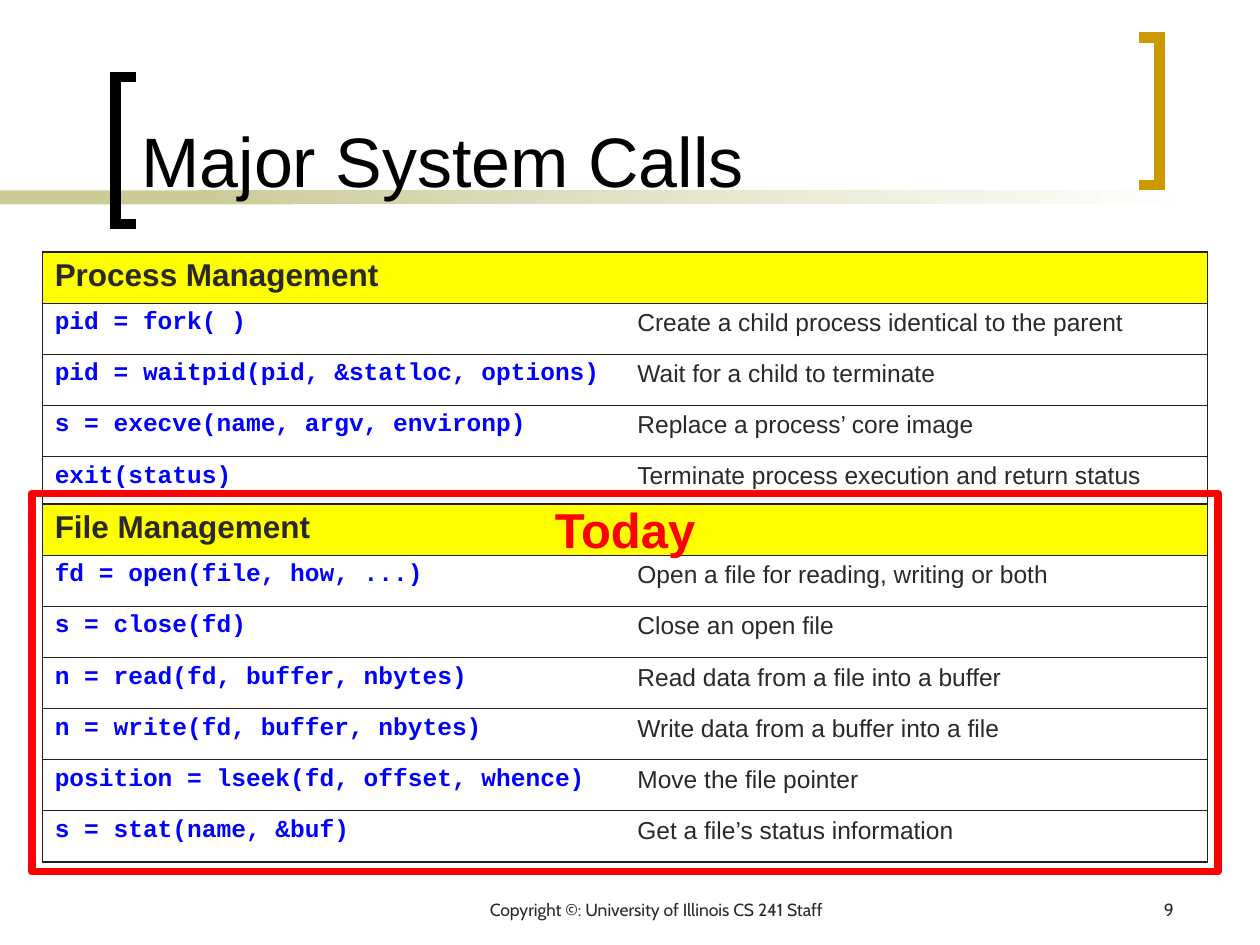
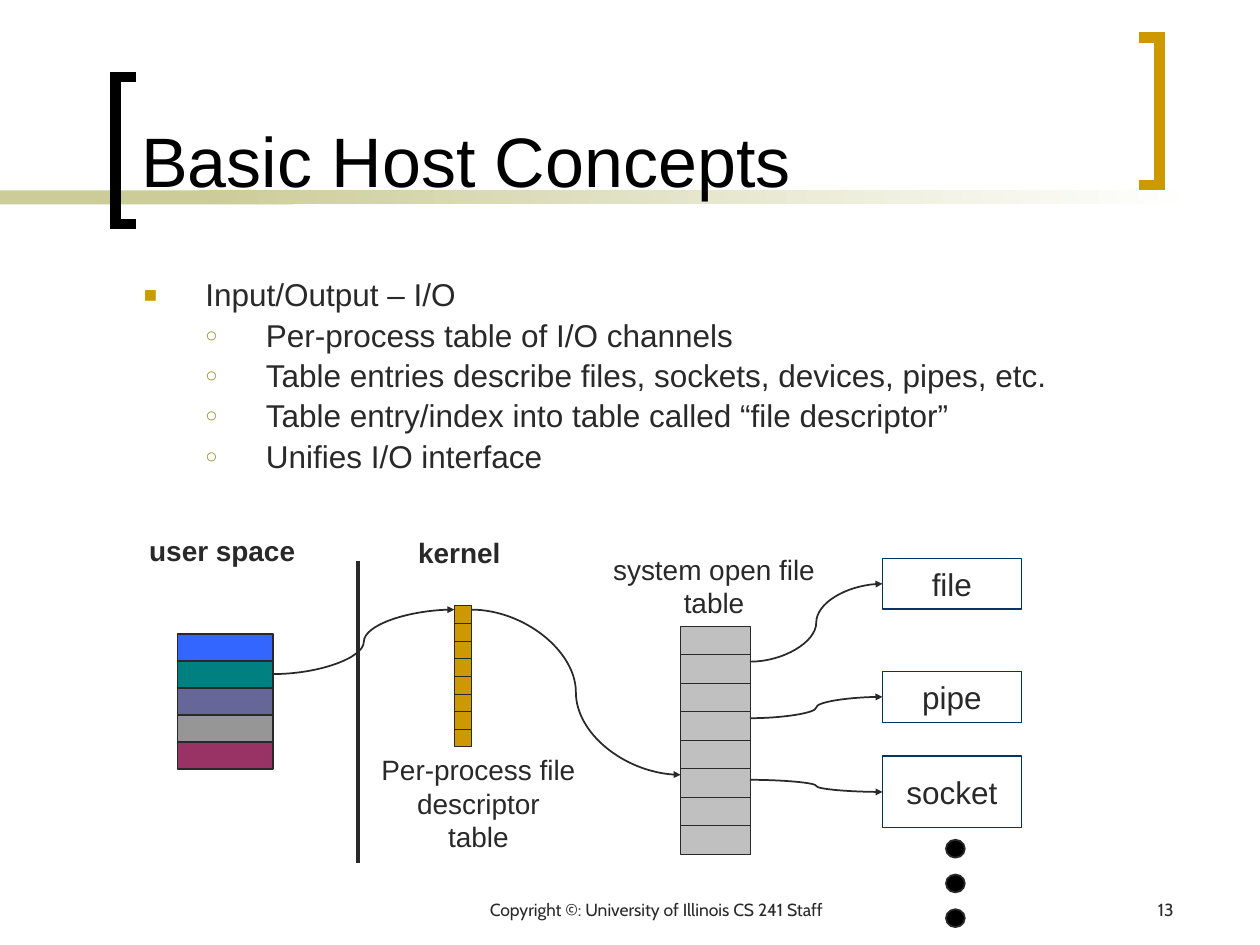
from dataclasses import dataclass

from lxml.etree import SubElement
from pptx import Presentation
from pptx.dml.color import RGBColor
from pptx.enum.shapes import MSO_CONNECTOR as LINK, MSO_SHAPE as SHAPE
from pptx.enum.text import MSO_ANCHOR as ANCHOR, PP_ALIGN as ALIGN
from pptx.oxml.ns import qn
from pptx.util import Cm, Pt

BLACK = RGBColor(0x00, 0x00, 0x00)
WHITE = RGBColor(0xFF, 0xFF, 0xFF)
INK = RGBColor(0x29, 0x29, 0x29)
BORDER = RGBColor(0x20, 0x20, 0x20)
GOLD = RGBColor(0xCC, 0x99, 0x00)
SAND = RGBColor(0xCC, 0xCC, 0x99)
OLIVE = RGBColor(0x99, 0x99, 0x33)
YELLOW = RGBColor(0xFF, 0xFF, 0x00)
RED = RGBColor(0xFF, 0x00, 0x00)
CODE_BLUE = RGBColor(0x00, 0x00, 0xFF)
NAVY = RGBColor(0x00, 0x33, 0x66)
SILVER = RGBColor(0xC0, 0xC0, 0xC0)
USER_COLOURS = [RGBColor(0x33, 0x66, 0xFF), RGBColor(0x00, 0x80, 0x80),
                RGBColor(0x66, 0x66, 0x99), RGBColor(0x96, 0x96, 0x96),
                RGBColor(0x99, 0x33, 0x66)]

TITLE = {"name": "Arial", "size": Pt(40)}
HEADING = {"name": "Arial", "size": Pt(18), "bold": True}
BODY = {"name": "Arial", "size": Pt(18)}
CODE = {"name": "Courier New", "size": Pt(14), "bold": True}
MEANING = {"name": "Arial", "size": Pt(14), "bold": False}
LABEL = {"name": "Arial", "size": Pt(16)}
LABEL_BOLD = {**LABEL, "bold": True}
CALLOUT = {"name": "Arial", "size": Pt(28), "bold": True}
FOOTER = {"name": "Cabin", "size": Pt(10)}

PROCESS_CALLS = [
    ("pid = fork( )", "Create a child process identical to the parent"),
    ("pid = waitpid(pid, &statloc, options)", "Wait for a child to terminate"),
    ("s = execve(name, argv, environp)", "Replace a process’ core image"),
    ("exit(status)", "Terminate process execution and return status"),
]
FILE_CALLS = [
    ("fd = open(file, how, ...)", "Open a file for reading, writing or both"),
    ("s = close(fd)", "Close an open file"),
    ("n = read(fd, buffer, nbytes)", "Read data from a file into a buffer"),
    ("n = write(fd, buffer, nbytes)", "Write data from a buffer into a file"),
    ("position = lseek(fd, offset, whence)", "Move the file pointer"),
    ("s = stat(name, &buf)", "Get a file’s status information"),
]
IO_POINTS = [
    (0, "Input/Output – I/O"),
    (1, "Per-process table of I/O channels"),
    (1, "Table entries describe files, sockets, devices, pipes, etc."),
    (1, "Table entry/index into table called “file descriptor”"),
    (1, "Unifies I/O interface"),
]
BULLETS = [("■", GOLD, 70, 1.24, 1.24), ("○", OLIVE, 65, 2.46, 1.22)]


@dataclass
class Box:
    """A rectangle measured in centimetres."""
    left: float
    top: float
    width: float
    height: float

    def inside(self, left, top, width, height):
        """Return a box whose place is given relative to this one."""
        return Box(self.left + left, self.top + top, width, height)

    def point(self, x, y):
        """Return a point relative to this box as lengths."""
        return Cm(self.left + x), Cm(self.top + y)

    def lengths(self):
        """Return left, top, width and height as lengths."""
        return [Cm(side) for side in (self.left, self.top, self.width, self.height)]


PAGE = Box(0, 0, 25.4, 19.05)


def apply(target, values):
    """Set every attribute named in values."""
    for name, value in values.items():
        setattr(target, name, value)


def write(frame, text, style, colour=INK, align=ALIGN.LEFT):
    """Write one paragraph for each line of text."""
    for index, line in enumerate(text.split("\n")):
        para = frame.add_paragraph() if index else frame.paragraphs[0]
        para.alignment = align
        span = para.add_run()
        span.text = line
        apply(span.font, style)
        span.font.color.rgb = colour


def add_text(page, box, text, style, colour=INK, align=ALIGN.LEFT,
             anchor=ANCHOR.TOP, wrap=True):
    """Add a text box."""
    frame = page.shapes.add_textbox(*box.lengths()).text_frame
    apply(frame, {"word_wrap": wrap, "vertical_anchor": anchor})
    write(frame, text, style, colour, align)


def paint(shape, fill=None, line=None, weight=1):
    """Set fill and line, where None means neither is drawn."""
    shape.shadow.inherit = False
    for part, colour in ((shape.fill, fill), (shape.line.fill, line)):
        if colour is None:
            part.background()
        else:
            part.solid()
            part.fore_color.rgb = colour
    if line is not None:
        shape.line.width = Pt(weight)


def add_box(shapes, kind, box, fill=None, line=None, weight=1):
    """Add a painted preset shape."""
    shape = shapes.add_shape(kind, *box.lengths())
    paint(shape, fill, line, weight)
    return shape


def add_bracket(page, box, colour, opens_right):
    """Draw a square bracket along the sides of a box."""
    spine, tips = (0, box.width) if opens_right else (box.width, 0)
    start, *rest = [box.point(x, y) for x, y in
                    ((tips, 0), (spine, 0), (spine, box.height), (tips, box.height))]
    builder = page.shapes.build_freeform(*start)
    builder.add_line_segments(rest, close=False)
    bracket = builder.convert_to_shape()
    paint(bracket, line=colour, weight=6)
    SubElement(bracket.element.spPr.find(qn("a:ln")), qn("a:miter"), lim="800000")


def add_frame(page, box, title, number):
    """Draw the band, brackets, title and footer every slide shares."""
    add_box(page.shapes, SHAPE.RECTANGLE, box.inside(0, 3.84, 5.92, 0.28), SAND)
    fade = add_box(page.shapes, SHAPE.RECTANGLE, box.inside(4.01, 3.84, 20.12, 0.28))
    fade.fill.gradient()
    fade.fill.gradient_angle = 0
    for stop, colour in zip(fade.fill.gradient_stops, (SAND, WHITE)):
        stop.color.rgb = colour
    add_bracket(page, box.inside(2.33, 1.55, 0.42, 2.97), BLACK, True)
    add_bracket(page, box.inside(22.96, 0.76, 0.42, 2.97), GOLD, False)
    add_text(page, box.inside(2.6, 0.25, 19.89, 3.94), title, TITLE, BLACK,
             anchor=ANCHOR.BOTTOM)
    add_text(page, box.inside(7.83, 17.99, 10.8, 0.64),
             "Copyright ©: University of Illinois CS 241 Staff", FOOTER,
             align=ALIGN.CENTER)
    add_text(page, box.inside(18.63, 17.99, 5.28, 0.64), str(number), FOOTER,
             align=ALIGN.RIGHT)


def add_border(cell, side, shown):
    """Draw or hide one border of a cell."""
    line = SubElement(cell._tc.get_or_add_tcPr(), qn(f"a:ln{side}"), w=str(Pt(0.75)))
    if shown:
        SubElement(SubElement(line, qn("a:solidFill")), qn("a:srgbClr"), val=str(BORDER))
    else:
        SubElement(line, qn("a:noFill"))


def add_calls(page, box, heading, calls):
    """Add a table of system calls under a yellow heading row."""
    rows = [(heading, ""), *calls]
    table = page.shapes.add_table(len(rows), 2, *box.lengths()).table
    apply(table, {"first_row": False, "horz_banding": False})
    for row, texts in enumerate(rows):
        table.rows[row].height = Cm(box.height / len(rows))
        styles = ((CODE, CODE_BLUE), (MEANING, INK)) if row else ((HEADING, INK),) * 2
        for column, (text, (style, colour)) in enumerate(zip(texts, styles)):
            cell = table.cell(row, column)
            for side, shown in (("L", column == 0), ("R", column == 1),
                                ("T", True), ("B", True)):
                add_border(cell, side, shown)
            if row:
                cell.fill.background()
            else:
                cell.fill.solid()
                cell.fill.fore_color.rgb = YELLOW
            if text:
                write(cell.text_frame, text, style, colour)


def add_bullets(page, box, points):
    """Add a two-level bulleted list."""
    frame = page.shapes.add_textbox(*box.lengths()).text_frame
    frame.word_wrap = True
    write(frame, "\n".join(text for _, text in points), BODY)
    for para, (level, _) in zip(frame.paragraphs, points):
        symbol, colour, size, margin, hang = BULLETS[level]
        apply(para, {"level": level, "line_spacing": 0.9, "space_before": Pt(3.6)})
        props = para._p.get_or_add_pPr()
        props.set("marL", str(Cm(margin)))
        props.set("indent", str(-Cm(hang)))
        SubElement(SubElement(props, qn("a:buClr")), qn("a:srgbClr"), val=str(colour))
        SubElement(props, qn("a:buSzPct"), val=str(size * 1000))
        SubElement(props, qn("a:buFont"), typeface="Arial")
        SubElement(props, qn("a:buChar"), char=symbol)


def add_stack(page, box, colours, weight):
    """Fill a box with a group of equal cells, one for each colour."""
    group = page.shapes.add_group_shape()
    height = box.height / len(colours)
    for index, colour in enumerate(colours):
        cell = box.inside(0, index * height, box.width, height)
        add_box(group.shapes, SHAPE.FLOWCHART_PROCESS, cell, colour, INK, weight)


def add_line(page, kind, start, end, weight=1, arrow=True):
    """Add a connector, with a small arrowhead at its end if wanted."""
    link = page.shapes.add_connector(kind, *start, *end)
    link.line.color.rgb = INK
    link.line.width = Pt(weight)
    props = link._element.spPr
    if arrow:
        SubElement(props.find(qn("a:ln")), qn("a:tailEnd"), type="triangle",
                   w="sm", len="sm")
    SubElement(props, qn("a:effectLst"))


def add_descriptor_diagram(page, box):
    """Draw the way from user space through the kernel to open files."""
    add_stack(page, box.inside(1.08, 2.28, 1.93, 2.72), USER_COLOURS, 1)
    add_stack(page, box.inside(6.66, 1.71, 0.34, 2.84), [GOLD] * 8, 0.25)
    add_stack(page, box.inside(11.22, 2.12, 1.4, 4.6), [SILVER] * 8, 0.25)
    add_line(page, LINK.STRAIGHT, box.point(4.71, 0.8), box.point(4.71, 6.9), 2.25, False)

    arrows = [((3.01, 3.09), (6.66, 1.79)), ((7, 1.79), (11.22, 5.12))]
    for name, top, height, source in (("file", 0.76, 1.02, 2.84),
                                      ("pipe", 3.04, 1.02, 3.98),
                                      ("socket", 4.74, 1.45, 5.22)):
        target = add_box(page.shapes, SHAPE.RECTANGLE,
                         box.inside(15.29, top, 2.8, height), None, NAVY, 0.75)
        target.text_frame.vertical_anchor = ANCHOR.MIDDLE
        write(target.text_frame, name, BODY, align=ALIGN.CENTER)
        arrows.append(((12.62, source), (15.29, top + height / 2)))
    for start, end in arrows:
        add_line(page, LINK.CURVE, box.point(*start), box.point(*end))

    for index in range(3):
        add_box(page.shapes, SHAPE.OVAL, box.inside(16.57, 6.43 + 0.7 * index, 0.38, 0.36),
                BLACK, INK)
    for place, text, style, wrap in (
            ((0.24, 0.13, 3.48, 0.94), "user space", LABEL_BOLD, False),
            ((5.67, 0.17, 2.18, 0.94), "kernel", LABEL_BOLD, False),
            ((4.91, 4.55, 4.47, 2.31), "Per-process file\ndescriptor\ntable", LABEL, False),
            ((9.28, 0.51, 5.23, 1.63), "system open file table", LABEL, True)):
        add_text(page, box.inside(*place), text, style, align=ALIGN.CENTER, wrap=wrap)


def add_calls_slide(page):
    """Build the slide that lists the major system calls."""
    add_frame(page, PAGE, "Major System Calls", 9)
    add_calls(page, PAGE.inside(0.85, 5.08, 23.49, 5.15), "Process Management", PROCESS_CALLS)
    add_calls(page, PAGE.inside(0.85, 10.16, 23.49, 7.22), "File Management", FILE_CALLS)
    today = add_box(page.shapes, SHAPE.RECTANGLE, PAGE.inside(0.64, 9.95, 23.92, 7.62),
                    None, RED, 4.5)
    today.text_frame.vertical_anchor = ANCHOR.TOP
    write(today.text_frame, "Today", CALLOUT, RED, ALIGN.CENTER)


def add_concepts_slide(page):
    """Build the slide that explains input and output."""
    add_frame(page, PAGE, "Basic Host Concepts", 13)
    add_bullets(page, PAGE.inside(2.65, 5.51, 21.29, 11.43), IO_POINTS)
    add_descriptor_diagram(page, PAGE.inside(2.5, 10.5, 18.2, 8.3))


def main():
    """Build and save the deck."""
    deck = Presentation()
    apply(deck, {"slide_width": Cm(PAGE.width), "slide_height": Cm(PAGE.height)})
    for build in (add_calls_slide, add_concepts_slide):
        build(deck.slides.add_slide(deck.slide_layouts[6]))
    deck.save("out.pptx")


if __name__ == "__main__":
    main()
